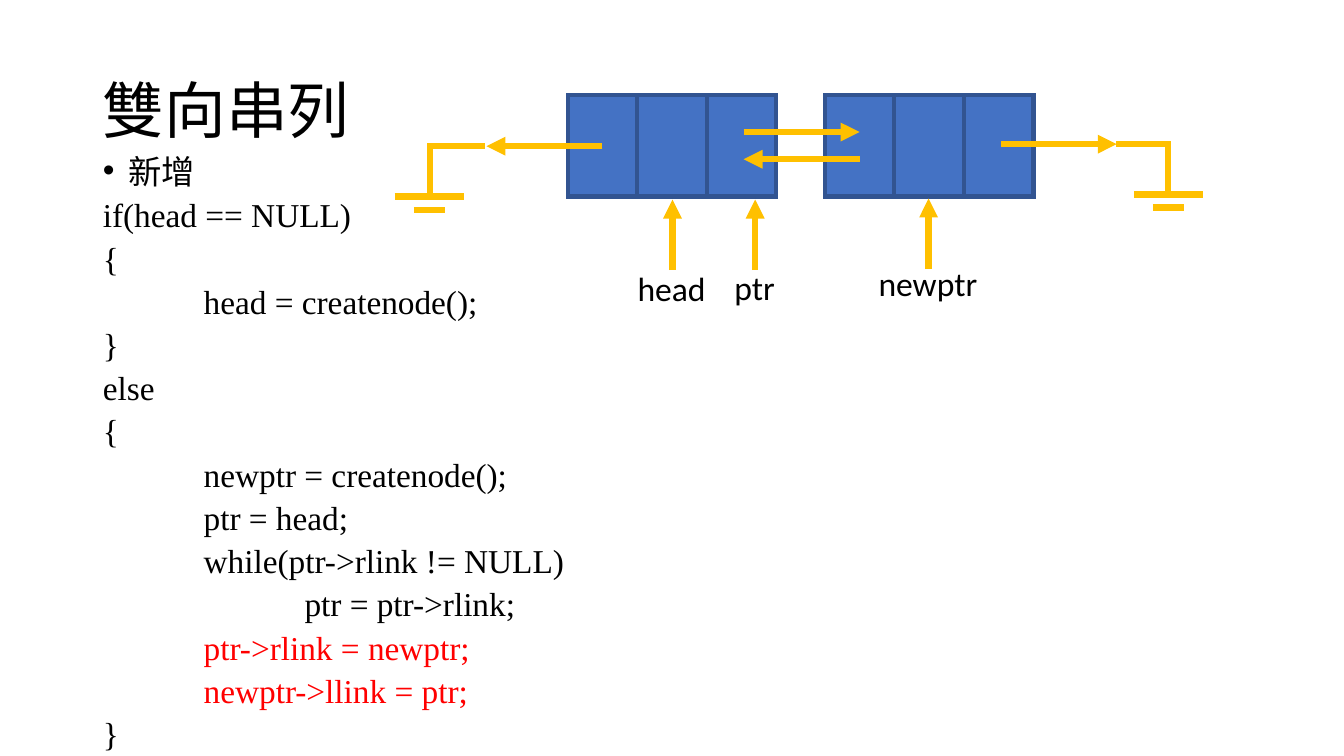
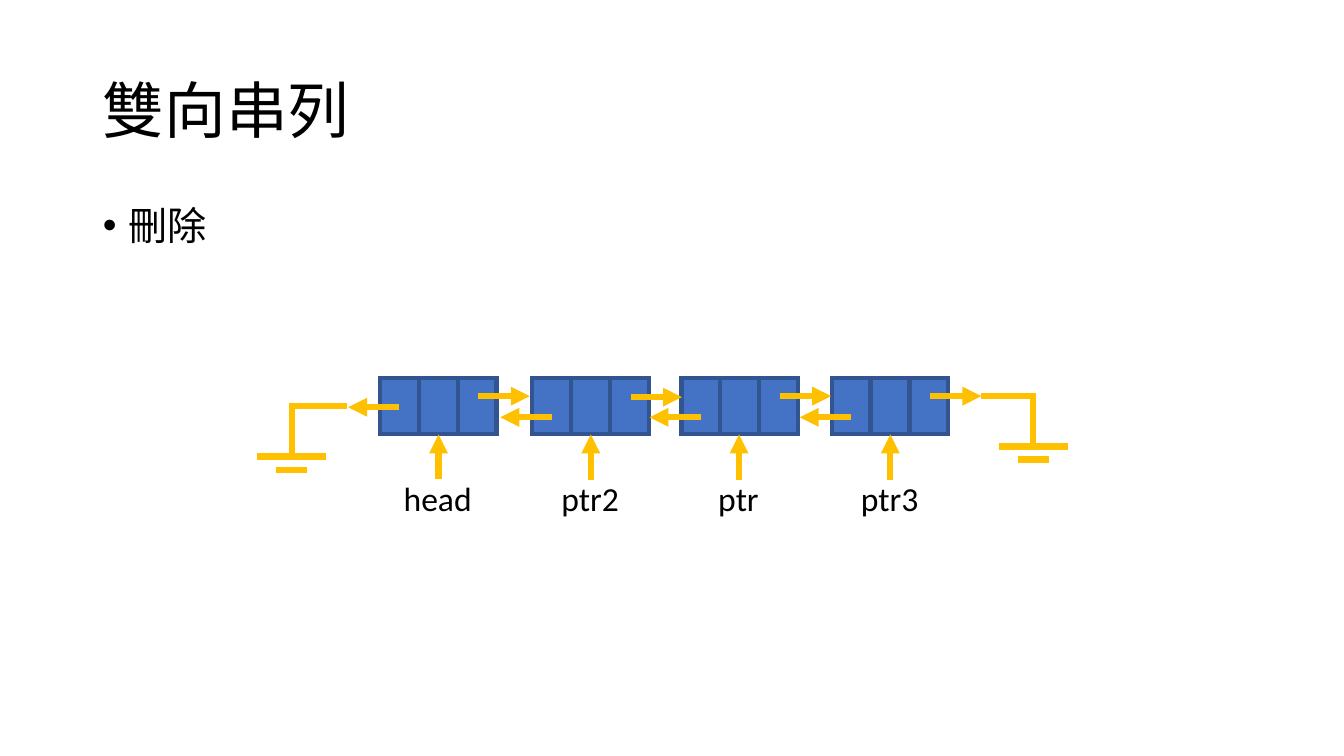
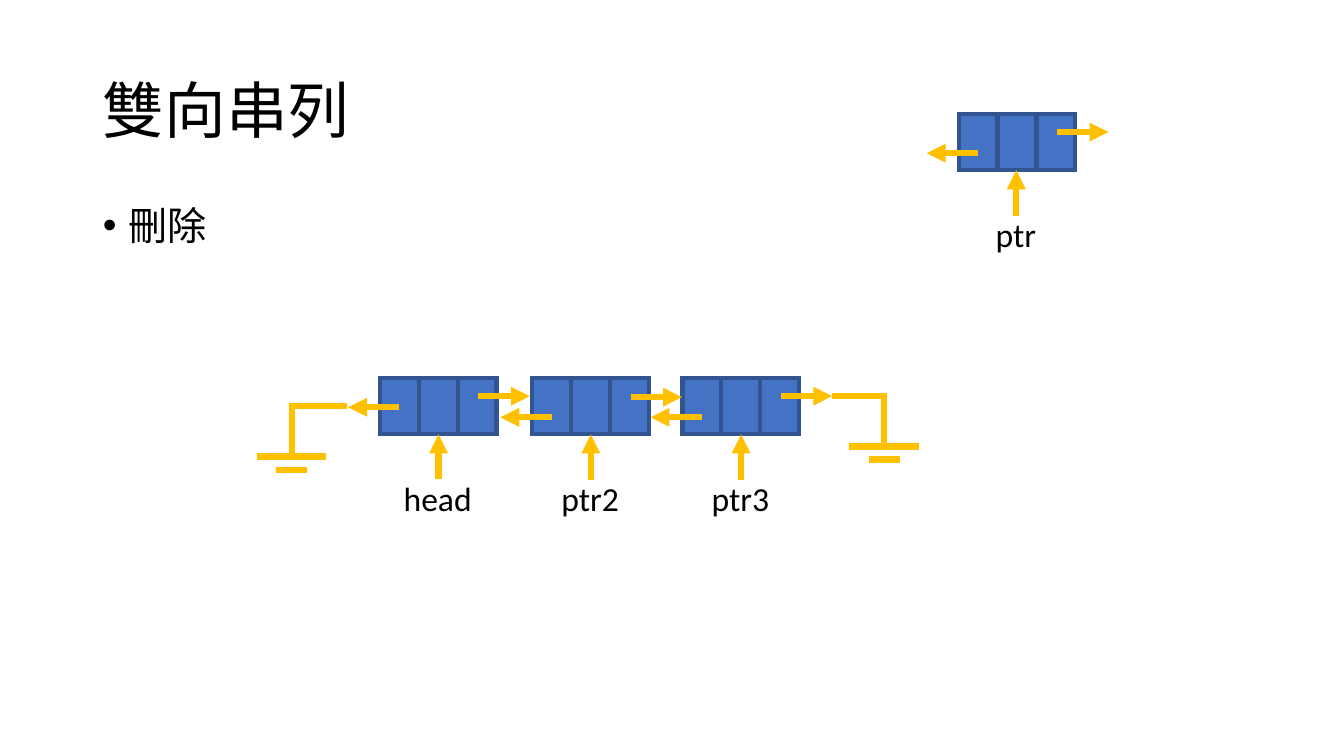
from collections import namedtuple
from dataclasses import dataclass

from lxml.etree import SubElement
from pptx import Presentation
from pptx.dml.color import RGBColor
from pptx.enum.shapes import MSO_CONNECTOR, MSO_SHAPE
from pptx.enum.text import MSO_ANCHOR, MSO_AUTO_SIZE, PP_ALIGN
from pptx.oxml.ns import qn
from pptx.util import Inches, Pt


@dataclass(frozen=True)
class Theme:
    """Colours, fonts and type sizes shared by all slides."""
    ink: RGBColor = RGBColor(0x00, 0x00, 0x00)
    highlight: RGBColor = RGBColor(0xFF, 0x00, 0x00)
    cell: RGBColor = RGBColor(0x44, 0x72, 0xC4)
    cell_edge: RGBColor = RGBColor(0x32, 0x54, 0x91)
    link: RGBColor = RGBColor(0xFF, 0xC0, 0x00)
    text_font: str = "Times New Roman"
    label_font: str = "Calibri"
    title_size: float = 44
    body_size: float = 28
    code_size: float = 23.8
    label_size: float = 24
    body_spacing: float = 0.9
    code_spacing: float = 0.73
    edge_width: float = 3
    link_width: float = 4.5


THEME = Theme()
TITLE = "雙向串列"
LABEL_WIDTHS = {"head": 0.89, "ptr": 0.61, "ptr2": 0.78, "ptr3": 0.78, "newptr": 1.19}

# Offsets from the point where a link enters a ground symbol
Ground = namedtuple("Ground", "stem centre bend")
GROUNDS = {"left": Ground(-0.57, -0.55, 95200), "right": Ground(0.51, 0.52, 101400)}

Node = namedtuple("Node", "left top back_y forward_y")
Pointer = namedtuple("Pointer", "name x tip tail label_top")
Page = namedtuple(
    "Page", "body_top body_height lines size spacing cell reach nodes pointers grounds")

INSERT_CODE = [
    "新增",
    "if(head == NULL)",
    "{",
    "\thead = createnode();",
    "}",
    "else",
    "{",
    "\tnewptr = createnode();",
    "\tptr = head;",
    "\twhile(ptr->rlink != NULL)",
    "\t\tptr = ptr->rlink;",
    "\tptr->rlink = newptr;",
    "\tnewptr->llink = ptr;",
    "}",
]
HIGHLIGHTED = {"\tptr->rlink = newptr;", "\tnewptr->llink = ptr;"}

SMALL_CELL = (0.385, 0.56)
HEAD_NODE = Node(3.77, 3.75, 4.04, 3.93)
SECOND_NODE = Node(5.28, 3.75, 4.14, 3.94)
HEAD_POINTER = Pointer("head", 4.35, 4.31, 4.75, 4.69)
SECOND_POINTER = Pointer("ptr2", 5.86, 4.31, 4.76, 4.69)

PAGES = [
    Page(1.55, 5.95, INSERT_CODE, THEME.code_size, THEME.code_spacing, (0.69, 1.01), 1.15,
         [Node(5.63, 0.94, 1.45, 1.31), Node(8.18, 0.94, 1.58, 1.43)],
         [Pointer("head", 6.67, 1.98, 2.68, 2.61),
          Pointer("newptr", 9.21, 1.97, 2.67, 2.56),
          Pointer("ptr", 7.49, 1.98, 2.68, 2.6)],
         [("left", 4.81, 1.45), ("right", 11.07, 1.43)]),
    Page(2, 4.76, ["刪除"], THEME.body_size, THEME.body_spacing, SMALL_CELL, 0.51,
         [HEAD_NODE, SECOND_NODE,
          Node(6.76, 3.75, 4.14, 3.93), Node(8.25, 3.75, 4.14, 3.93)],
         [HEAD_POINTER, SECOND_POINTER,
          Pointer("ptr", 7.33, 4.31, 4.76, 4.69),
          Pointer("ptr3", 8.83, 4.31, 4.76, 4.69)],
         [("left", 3.44, 4.03), ("right", 9.73, 3.93)]),
    Page(2, 4.76, ["刪除"], THEME.body_size, THEME.body_spacing, SMALL_CELL, 0.51,
         [HEAD_NODE, SECOND_NODE,
          Node(6.77, 3.75, 4.14, 3.93), Node(9.51, 1.13, 1.52, 1.31)],
         [HEAD_POINTER, SECOND_POINTER,
          Pointer("ptr", 10.08, 1.69, 2.14, 2.07),
          Pointer("ptr3", 7.35, 4.31, 4.76, 4.69)],
         [("left", 3.44, 4.03), ("right", 8.25, 3.93)]),
]


def add_run(paragraph, text, size, font, color):
    """Append one formatted run to a paragraph."""
    run = paragraph.add_run()
    run.text = text
    run.font.size = Pt(size)
    run.font.name = font
    run.font.color.rgb = color


def add_link(shapes, start, end, arrow=False, bend=None):
    """Draw a straight line, or an elbow whose corner is set by bend."""
    kind = MSO_CONNECTOR.STRAIGHT if bend is None else MSO_CONNECTOR.ELBOW
    connector = shapes.add_connector(kind, *[Inches(value) for value in (*start, *end)])
    connector.line.color.rgb = THEME.link
    connector.line.width = Pt(THEME.link_width)
    properties = connector._element.spPr
    outline = properties.find(qn("a:ln"))
    SubElement(outline, qn("a:miter"), lim="800000")
    if arrow:
        SubElement(outline, qn("a:tailEnd"), type="triangle")
    SubElement(properties, qn("a:effectLst"))
    if bend is not None:
        adjustments = properties.find(qn("a:prstGeom")).find(qn("a:avLst"))
        SubElement(adjustments, qn("a:gd"), name="adj1", fmla=f"val {bend}")


presentation = Presentation()
presentation.slide_width = Inches(13.33)
presentation.slide_height = Inches(7.5)
layout = presentation.slide_layouts[1]

for page in PAGES:
    slide = presentation.slides.add_slide(layout)
    title, body = slide.placeholders

    title.left, title.top = Inches(0.92), Inches(0.4)
    title.width, title.height = Inches(11.5), Inches(1.45)
    title.text_frame.vertical_anchor = MSO_ANCHOR.MIDDLE
    paragraph = title.text_frame.paragraphs[0]
    paragraph.alignment = PP_ALIGN.LEFT
    paragraph.line_spacing = THEME.body_spacing
    add_run(paragraph, TITLE, THEME.title_size, THEME.text_font, THEME.ink)

    body.left, body.top = Inches(0.92), Inches(page.body_top)
    body.width, body.height = Inches(11.5), Inches(page.body_height)
    frame = body.text_frame
    frame.auto_size = MSO_AUTO_SIZE.NONE
    for index, line in enumerate(page.lines):
        paragraph = frame.add_paragraph() if index else frame.paragraphs[0]
        paragraph.line_spacing = page.spacing
        paragraph.space_before = Pt(10)
        indent = 0 if index else Inches(0.25)
        properties = paragraph._p.get_or_add_pPr()
        properties.set("marL", str(indent))
        properties.set("indent", str(-indent))
        properties.set("defTabSz", str(Inches(1)))
        if index:
            SubElement(properties, qn("a:buNone"))
        color = THEME.highlight if line in HIGHLIGHTED else THEME.ink
        add_run(paragraph, line, page.size, THEME.text_font, color)

    cell_width, cell_height = page.cell
    for node in page.nodes:
        group = slide.shapes.add_group_shape()
        for column in range(3):
            cell = group.shapes.add_shape(
                MSO_SHAPE.RECTANGLE, Inches(node.left + column * cell_width),
                Inches(node.top), Inches(cell_width), Inches(cell_height))
            cell.shadow.inherit = False
            cell.fill.solid()
            cell.fill.fore_color.rgb = THEME.cell
            cell.line.color.rgb = THEME.cell_edge
            cell.line.width = Pt(THEME.edge_width)
            SubElement(cell._element.spPr.find(qn("a:ln")), qn("a:miter"), lim="800000")

    for node in page.nodes:
        back_x = node.left + 0.5 * cell_width
        forward_x = node.left + 2.53 * cell_width
        add_link(slide.shapes, (back_x, node.back_y),
                 (back_x - page.reach, node.back_y), arrow=True)
        add_link(slide.shapes, (forward_x, node.forward_y),
                 (forward_x + page.reach, node.forward_y), arrow=True)

    for side, x, y in page.grounds:
        ground = GROUNDS[side]
        centre = x + ground.centre
        group = slide.shapes.add_group_shape()
        add_link(group.shapes, (x, y), (x + ground.stem, y + 0.5), bend=ground.bend)
        for half_width, drop in ((0.345, 0.5), (0.155, 0.63)):
            add_link(group.shapes, (centre - half_width, y + drop),
                     (centre + half_width, y + drop))

    for pointer in page.pointers:
        add_link(slide.shapes, (pointer.x, pointer.tail), (pointer.x, pointer.tip), arrow=True)
        width = LABEL_WIDTHS[pointer.name]
        label = slide.shapes.add_textbox(
            Inches(pointer.x - width / 2), Inches(pointer.label_top),
            Inches(width), Inches(0.5))
        label.text_frame.word_wrap = False
        label.text_frame.auto_size = MSO_AUTO_SIZE.SHAPE_TO_FIT_TEXT
        add_run(label.text_frame.paragraphs[0], pointer.name,
                THEME.label_size, THEME.label_font, THEME.ink)

presentation.save("out.pptx")
